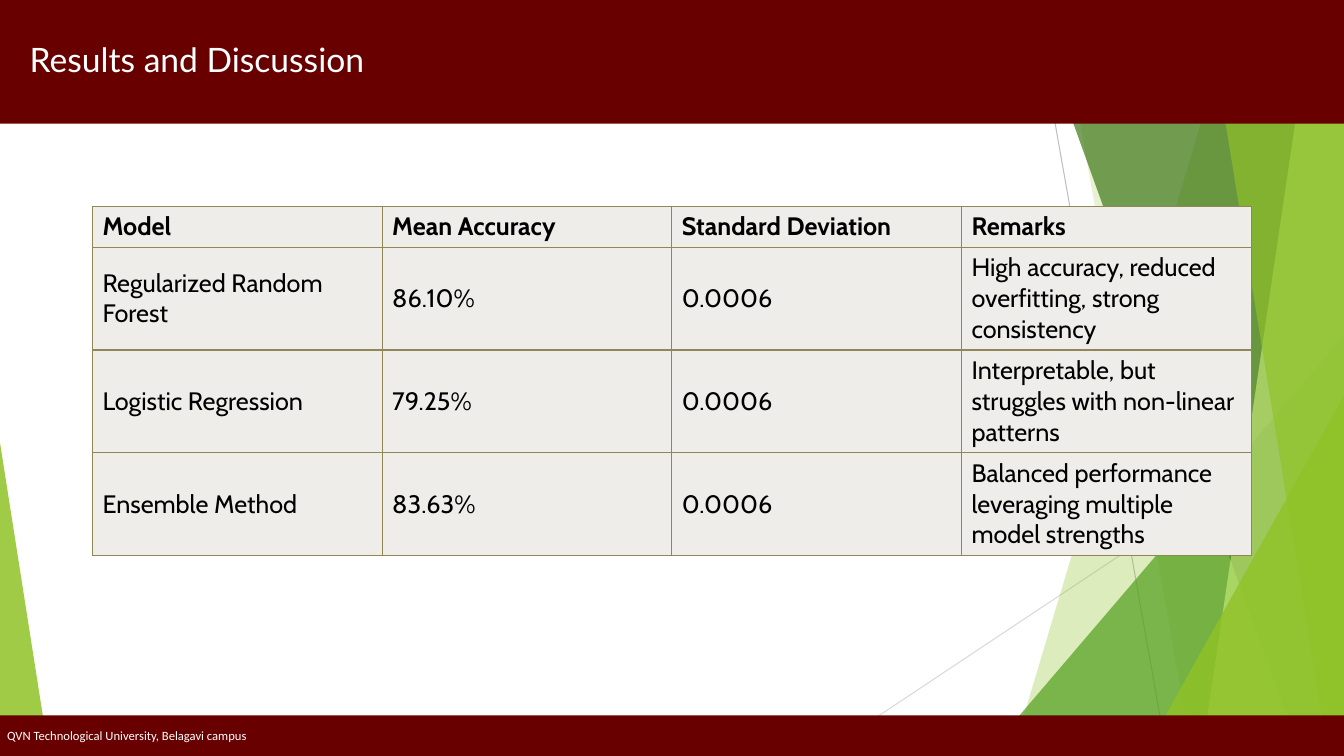
"""Build the results slide with its model comparison table."""
from dataclasses import dataclass

from lxml.etree import SubElement
from pptx import Presentation
from pptx.dml.color import RGBColor
from pptx.enum.shapes import MSO_CONNECTOR, MSO_SHAPE
from pptx.enum.text import MSO_ANCHOR, PP_ALIGN
from pptx.oxml import parse_xml
from pptx.oxml.ns import nsdecls, qn
from pptx.shapes.autoshape import Shape
from pptx.slide import Slide
from pptx.text.text import TextFrame
from pptx.util import Cm, Pt

WIDTH, HEIGHT = 33.87, 19.05
WHITE = RGBColor(0xFF, 0xFF, 0xFF)
BLACK = RGBColor(0x00, 0x00, 0x00)
MAROON = RGBColor(0x68, 0x00, 0x00)
LIME = RGBColor(0x90, 0xC2, 0x26)
GREEN = RGBColor(0x54, 0xA0, 0x21)
DARK_GREEN = RGBColor(0x3F, 0x78, 0x19)
PALE_GREEN = RGBColor(0xC0, 0xE4, 0x74)
MID_GREY = RGBColor(0xBF, 0xBF, 0xBF)
LIGHT_GREY = RGBColor(0xD9, 0xD9, 0xD9)
CELL_FILL = RGBColor(0xEE, 0xED, 0xE9)
CELL_BORDER = RGBColor(0x91, 0x86, 0x55)


@dataclass(frozen=True)
class Ray:
    start: tuple[float, float]
    end: tuple[float, float]
    color: RGBColor


@dataclass(frozen=True)
class Blade:
    top_left: float
    bottom_left: float
    color: RGBColor
    opacity: int


@dataclass(frozen=True)
class Wedge:
    left: float
    top: float
    width: float
    apex: float
    color: RGBColor
    opacity: int


@dataclass(frozen=True)
class Band:
    top: float
    height: float
    text: str
    font: str
    size: float
    indent: float
    line_spacing: float


RAYS = [
    Ray((26.04, 0), (29.41, HEIGHT), MID_GREY),
    Ray((WIDTH, 10.24), (20.62, HEIGHT), LIGHT_GREY),
]
FACETS = [
    Blade(31.19, 25.5, LIME, 30),
    Blade(26.67, 30.05, LIME, 20),
    Wedge(24.82, 8.46, 9.05, 1, GREEN, 72),
    Blade(25.93, 32.79, DARK_GREEN, 70),
    Blade(33.1, 30.28, PALE_GREEN, 70),
    Blade(30.38, 33.48, LIME, 65),
    Wedge(28.8, 9.98, 5.07, 1, LIME, 80),
    Wedge(0, 11.15, 1.24, 0, LIME, 85),
]
BANDS = [
    Band(18.03, 1.02, "QVN Technological University, Belagavi campus", "Calibri", 9, 0.18, 1),
    Band(0, 3.12, "Results and Discussion", "Lato", 24, 0.75, 0.9),
]
RESULTS = [
    ("Model", "Mean Accuracy", "Standard Deviation", "Remarks"),
    ("Regularized Random Forest", "86.10%", "0.0006",
     "High accuracy, reduced overfitting, strong consistency"),
    ("Logistic Regression", "79.25%", "0.0006",
     "Interpretable, but struggles with non-linear patterns"),
    ("Ensemble Method", "83.63%", "0.0006",
     "Balanced performance leveraging multiple model strengths"),
]
COLUMN_WIDTH, HEADER_HEIGHT, ROW_HEIGHT = 7.3, 1.03, 2.59


def write(frame: TextFrame, text: str, *, font: str, size: float, color: RGBColor,
          bold: bool = False, line_spacing: float = 1.0) -> None:
    """Put one left-aligned, formatted paragraph in a text frame."""
    frame.word_wrap = True
    paragraph = frame.paragraphs[0]
    paragraph.alignment = PP_ALIGN.LEFT
    paragraph.line_spacing = line_spacing
    run = paragraph.add_run()
    run.text = text
    run.font.name = font
    run.font.size = Pt(size)
    run.font.bold = bold
    run.font.color.rgb = color


def paint(shape: Shape, color: RGBColor, opacity: int = 100) -> None:
    """Give a shape a flat fill without outline or shadow."""
    shape.shadow.inherit = False
    shape.line.fill.background()
    shape.fill.solid()
    shape.fill.fore_color.rgb = color
    if opacity < 100:
        tint = shape.fill._xPr.find(qn("a:solidFill"))[0]
        SubElement(tint, qn("a:alpha")).set("val", str(opacity * 1000))


def draw_ray(slide: Slide, ray: Ray) -> None:
    """Draw one thin background line."""
    line = slide.shapes.add_connector(
        MSO_CONNECTOR.STRAIGHT, *(Cm(v) for v in ray.start + ray.end))
    line.line.color.rgb = ray.color
    line.line.width = Pt(0.75)
    SubElement(line._element.spPr, qn("a:effectLst"))


def draw_blade(slide: Slide, blade: Blade) -> None:
    """Draw a full-height blade that reaches the right edge."""
    outline = slide.shapes.build_freeform(Cm(blade.top_left), 0)
    corners = [(WIDTH, 0), (WIDTH, HEIGHT), (blade.bottom_left, HEIGHT)]
    outline.add_line_segments([(Cm(x), Cm(y)) for x, y in corners], close=True)
    paint(outline.convert_to_shape(), blade.color, blade.opacity)


def draw_wedge(slide: Slide, wedge: Wedge) -> None:
    """Draw a triangle that stands on the bottom edge."""
    triangle = slide.shapes.add_shape(
        MSO_SHAPE.ISOSCELES_TRIANGLE, Cm(wedge.left), Cm(wedge.top),
        Cm(wedge.width), Cm(HEIGHT - wedge.top))
    triangle.adjustments[0] = wedge.apex
    paint(triangle, wedge.color, wedge.opacity)


def draw_band(slide: Slide, band: Band) -> None:
    """Draw a full-width maroon band with its text."""
    bar = slide.shapes.add_shape(
        MSO_SHAPE.RECTANGLE, 0, Cm(band.top), Cm(WIDTH), Cm(band.height))
    paint(bar, MAROON)
    frame = bar.text_frame
    frame.vertical_anchor = MSO_ANCHOR.MIDDLE
    frame.margin_left, frame.margin_right = Cm(band.indent), Cm(0.18)
    frame.margin_top = frame.margin_bottom = Cm(0.1)
    write(frame, band.text, font=band.font, size=band.size, color=WHITE,
          line_spacing=band.line_spacing)


def draw_results(slide: Slide) -> None:
    """Draw the model comparison table."""
    columns = len(RESULTS[0])
    heights = [HEADER_HEIGHT] + [ROW_HEIGHT] * (len(RESULTS) - 1)
    table = slide.shapes.add_table(
        len(RESULTS), columns, Cm(2.33), Cm(5.2),
        Cm(COLUMN_WIDTH * columns), Cm(sum(heights))).table
    table.horz_banding = False
    for column in table.columns:
        column.width = Cm(COLUMN_WIDTH)
    for row_index, (values, height) in enumerate(zip(RESULTS, heights)):
        table.rows[row_index].height = Cm(height)
        for column_index, value in enumerate(values):
            cell = table.cell(row_index, column_index)
            cell.vertical_anchor = MSO_ANCHOR.MIDDLE
            cell.fill.solid()
            cell.fill.fore_color.rgb = CELL_FILL
            write(cell.text_frame, value, font="Cabin", size=18, color=BLACK,
                  bold=row_index == 0)
            for position, side in enumerate("LRTB"):
                cell._tc.tcPr.insert(position, parse_xml(
                    f'<a:ln{side} {nsdecls("a")} w="{Pt(1)}"><a:solidFill>'
                    f'<a:srgbClr val="{CELL_BORDER}"/></a:solidFill></a:ln{side}>'))


def main() -> None:
    """Build and save the slide."""
    presentation = Presentation()
    presentation.slide_width, presentation.slide_height = Cm(WIDTH), Cm(HEIGHT)
    slide = presentation.slides.add_slide(presentation.slide_layouts[6])
    for ray in RAYS:
        draw_ray(slide, ray)
    for facet in FACETS:
        if isinstance(facet, Blade):
            draw_blade(slide, facet)
        else:
            draw_wedge(slide, facet)
    for band in BANDS:
        draw_band(slide, band)
    draw_results(slide)
    presentation.save("out.pptx")


if __name__ == "__main__":
    main()
